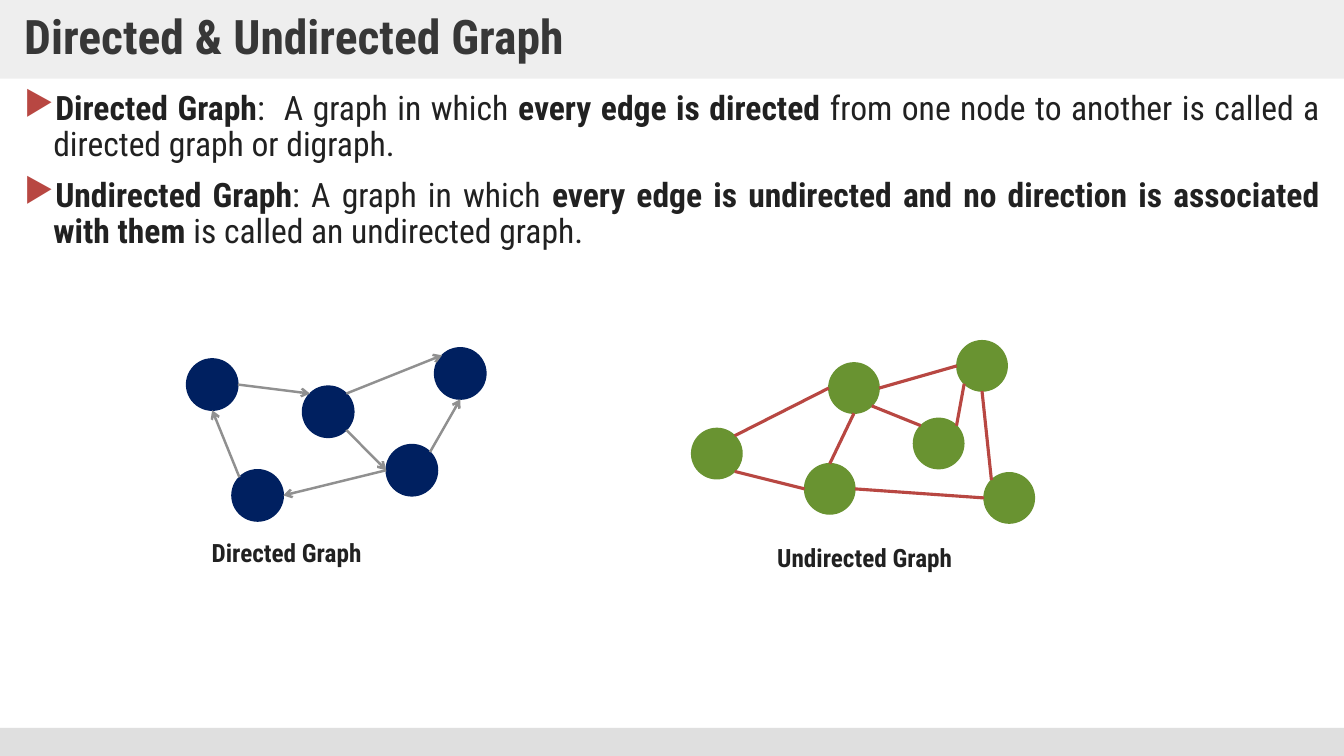
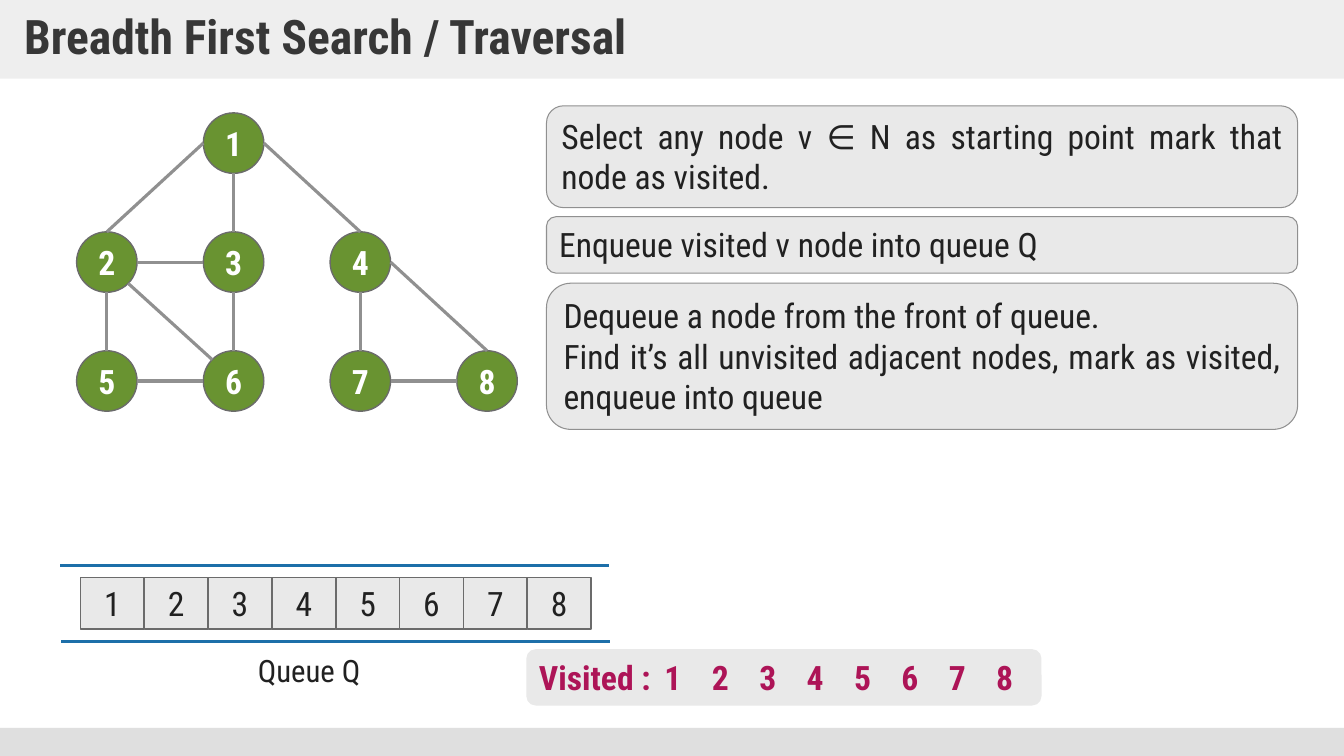
"""Build two slides on graphs and breadth first search."""
import math
from dataclasses import dataclass

from pptx import Presentation, util as u
from pptx.dml.color import RGBColor
from pptx.enum import shapes as kinds, text
from pptx.oxml.ns import qn
from lxml import etree


@dataclass(frozen=True)
class Theme:
    """Colours, font and type sizes of the deck."""
    font: str = "Roboto Condensed"
    title_ink: str = "373737"
    ink: str = "212121"
    white: str = "FFFFFF"
    band: str = "DFDFDF"
    panel: str = "E9E9E9"
    edge: str = "909090"
    border: str = "6B6B6B"
    navy: str = "002060"
    green: str = "699331"
    red: str = "B84742"
    blue: str = "1D6FA9"
    magenta: str = "AD1457"
    title_size: int = 34
    body_size: int = 24
    queue_size: int = 22
    caption_size: int = 18


THEME = Theme()
SHAPE = kinds.MSO_SHAPE
ALIGN = text.PP_ALIGN
ANCHOR = text.MSO_ANCHOR
TOP, TOP_LEFT, LEFT, BOTTOM_LEFT, BOTTOM, BOTTOM_RIGHT, RIGHT, TOP_RIGHT = range(8)

DEFINITIONS = [
    [("Directed Graph", True), (":  A graph in which ", False),
     ("every edge is directed", True),
     (" from one node to another is called a directed graph or digraph.", False)],
    [("Undirected Graph", True), (": A graph in which ", False),
     ("every edge is undirected and no direction is associated with them ", True),
     ("is called an undirected graph.", False)],
]
DIRECTED_NODES = {"a": (1.85, 3.56), "b": (3, 3.83), "c": (2.3, 4.66),
                  "d": (3.83, 4.41), "e": (4.31, 3.45)}
DIRECTED_EDGES = [
    ("a", RIGHT, "b", TOP_LEFT), ("b", BOTTOM_RIGHT, "d", LEFT),
    ("d", TOP_RIGHT, "e", BOTTOM), ("c", TOP_LEFT, "a", BOTTOM),
    ("b", TOP_RIGHT, "e", TOP_LEFT), ("d", LEFT, "c", RIGHT),
]
UNDIRECTED_NODES = {"a": (8.22, 3.6), "b": (9.06, 4.15), "c": (7.98, 4.6),
                    "d": (9.76, 4.69), "e": (9.49, 3.38), "f": (6.86, 4.25)}
UNDIRECTED_EDGES = [
    ("f", TOP_RIGHT, "a", LEFT), ("f", BOTTOM_RIGHT, "c", LEFT),
    ("b", TOP_RIGHT, "e", BOTTOM_LEFT), ("a", RIGHT, "e", LEFT),
    ("a", BOTTOM, "c", TOP), ("a", BOTTOM_RIGHT, "b", TOP_LEFT),
    ("c", RIGHT, "d", LEFT), ("e", BOTTOM, "d", TOP_LEFT),
]
SEARCH_CELLS = {"1": (1, 0), "2": (0, 1), "3": (1, 1), "4": (2, 1),
                "5": (0, 2), "6": (1, 2), "7": (2, 2), "8": (3, 2)}
SEARCH_EDGES = [
    ("1", BOTTOM, "3", TOP), ("2", TOP, "1", LEFT), ("1", RIGHT, "4", TOP),
    ("3", BOTTOM, "6", TOP), ("2", BOTTOM, "5", TOP),
    ("2", BOTTOM_RIGHT, "6", TOP_LEFT), ("2", RIGHT, "3", LEFT),
    ("5", RIGHT, "6", LEFT), ("7", RIGHT, "8", LEFT),
    ("4", BOTTOM, "7", TOP), ("4", RIGHT, "8", TOP),
]
STEPS = [
    (1.05, 1.01, ["Select any node v ∈ N as starting point mark that node as visited."]),
    (2.15, 0.56, ["Enqueue visited v node into queue Q"]),
    (2.81, 1.45, ["Dequeue a node from the front of queue.",
                  "Find it’s all unvisited adjacent nodes, mark as visited, "
                  "enqueue into queue"]),
]


def set_attributes(target, values):
    """Set each named attribute of the target."""
    for name, value in values.items():
        setattr(target, name, value)


def inches(*lengths):
    """Turn numbers into lengths."""
    return [u.Inches(length) for length in lengths]


def add_run(paragraph, words, size=THEME.body_size, color=THEME.ink, bold=False):
    """Add a run in the theme font."""
    run = paragraph.add_run()
    run.text = words
    set_attributes(run.font, {"name": THEME.font, "size": u.Pt(size), "bold": bold})
    run.font.color.rgb = RGBColor.from_string(color)


def write(shape, lines, align=ALIGN.LEFT, anchor=ANCHOR.TOP, **font):
    """Write one paragraph for each line."""
    frame = shape.text_frame
    set_attributes(frame, {"word_wrap": True, "vertical_anchor": anchor})
    for index, line in enumerate(lines):
        paragraph = frame.add_paragraph() if index else frame.paragraphs[0]
        paragraph.alignment = align
        add_run(paragraph, line, **font)


def add_block(shapes, kind, box, fill, line=None, width=1):
    """Add a flat preset shape."""
    shape = shapes.add_shape(kind, *inches(*box))
    shape.shadow.inherit = False
    shape.fill.solid()
    shape.fill.fore_color.rgb = RGBColor.from_string(fill)
    if line:
        shape.line.color.rgb = RGBColor.from_string(line)
        shape.line.width = u.Pt(width)
    else:
        shape.line.fill.background()
    return shape


def add_label(shapes, box, words, **font):
    """Add a text box with one line."""
    write(shapes.add_textbox(*inches(*box)), [words], **font)


def add_line(shapes, start, end, color, width, arrow=False):
    """Add a straight line, with an arrowhead at its end if asked."""
    line = shapes.add_connector(kinds.MSO_CONNECTOR.STRAIGHT, *start, *end)
    line.line.color.rgb = RGBColor.from_string(color)
    line.line.width = u.Pt(width)
    properties = line.element.spPr
    if arrow:
        etree.SubElement(properties.find(qn("a:ln")), qn("a:tailEnd"), type="arrow")
    etree.SubElement(properties, qn("a:effectLst"))
    return line


def site_point(node, site):
    """Return the point of one of the eight connection sites of a circle."""
    angle = math.radians(90 + 45 * site)
    radius = node.width / 2
    return (round(node.left + radius * (1 + math.cos(angle))),
            round(node.top + radius * (1 - math.sin(angle))))


def add_edge(shapes, start, start_site, end, end_site, **style):
    """Add a line that is glued to two nodes."""
    line = add_line(shapes, site_point(start, start_site),
                    site_point(end, end_site), **style)
    links = line.element.nvCxnSpPr.cNvCxnSpPr
    set_attributes(links.get_or_add_stCxn(), {"id": start.shape_id, "idx": start_site})
    set_attributes(links.get_or_add_endCxn(), {"id": end.shape_id, "idx": end_site})


def add_graph(shapes, places, edges, diameter, fill, border, labelled=False, **edge_style):
    """Add circles for the nodes and lines for the edges."""
    nodes = {}
    for name, place in places.items():
        nodes[name] = add_block(shapes, SHAPE.OVAL, (*place, diameter, diameter),
                                fill, border)
        if labelled:
            write(nodes[name], [name], ALIGN.CENTER, ANCHOR.MIDDLE,
                  color=THEME.white, bold=True)
    for start, start_site, end, end_site in edges:
        add_edge(shapes, nodes[start], start_site, nodes[end], end_site, **edge_style)


def add_bullets(shapes, box, items):
    """Add justified paragraphs with coloured triangle bullets."""
    frame = shapes.add_textbox(*inches(*box)).text_frame
    frame.word_wrap = True
    for index, runs in enumerate(items):
        paragraph = frame.add_paragraph() if index else frame.paragraphs[0]
        set_attributes(paragraph, {"alignment": ALIGN.JUSTIFY, "line_spacing": 0.9,
                                   "space_before": u.Pt(10)})
        properties = paragraph._p.get_or_add_pPr()
        properties.set("marL", str(u.Inches(0.29)))
        properties.set("indent", str(-u.Inches(0.29)))
        color = etree.SubElement(properties, qn("a:buClr"))
        etree.SubElement(color, qn("a:srgbClr"), val=THEME.red)
        etree.SubElement(properties, qn("a:buChar"), char="▶")
        for words, bold in runs:
            add_run(paragraph, words, bold=bold)


def add_slide(presentation, title):
    """Add a slide with the title band and the bottom band."""
    slide = presentation.slides.add_slide(presentation.slide_layouts[5])
    add_block(slide.shapes, SHAPE.RECTANGLE, (0, 7.22, 13.33, 0.28), THEME.band)
    shape = slide.shapes.title
    set_attributes(shape, dict(zip(("left", "top", "width", "height"),
                                   inches(0, 0, 13.33, 0.78))))
    shape.fill.solid()
    shape.fill.fore_color.rgb = RGBColor.from_string(THEME.band)
    color = shape.element.spPr.find(".//" + qn("a:srgbClr"))
    etree.SubElement(color, qn("a:alpha"), val="50000")
    set_attributes(shape.text_frame, {
        "auto_size": text.MSO_AUTO_SIZE.NONE,
        "margin_left": u.Inches(0.24), "margin_right": u.Inches(0.24),
        "margin_top": u.Inches(0.12), "margin_bottom": u.Inches(0.12)})
    write(shape, [title], anchor=ANCHOR.MIDDLE, size=THEME.title_size,
          color=THEME.title_ink, bold=True)
    shape.text_frame.paragraphs[0].line_spacing = 0.9
    return slide


def add_queue(shapes):
    """Add the queue cells between two rails, with the queue name."""
    for index, name in enumerate(SEARCH_CELLS):
        cell = add_block(shapes, SHAPE.RECTANGLE, (0.8 + 0.633 * index, 5.73, 0.63, 0.51),
                         THEME.panel, THEME.border)
        write(cell, [name], ALIGN.CENTER, ANCHOR.MIDDLE)
    for left, top in ((0.6, 5.61), (0.61, 6.36)):
        add_line(shapes, inches(left, top), inches(left + 5.44, top), THEME.blue, 2.25)
    add_label(shapes, (2.46, 6.42, 1.34, 0.47), "Queue Q", size=THEME.queue_size)


def add_visited(shapes):
    """Add the panel that lists the visited nodes."""
    style = {"color": THEME.magenta, "bold": True}
    panel = add_block(shapes, SHAPE.ROUNDED_RECTANGLE, (5.22, 6.44, 5.11, 0.56), THEME.panel)
    write(panel, ["Visited :"], **style)
    for index, name in enumerate(SEARCH_CELLS):
        cell = add_block(shapes, SHAPE.RECTANGLE, (6.44 + 0.47 * index, 6.47, 0.47, 0.5),
                         THEME.panel)
        write(cell, [name], ALIGN.CENTER, **style)


def add_kinds_slide(presentation):
    """Add the slide on directed and undirected graphs."""
    shapes = add_slide(presentation, "Directed & Undirected Graph").shapes
    add_bullets(shapes, (0.14, 0.86, 13.05, 6.11), DEFINITIONS)
    caption = {"size": THEME.caption_size, "bold": True}
    directed = shapes.add_group_shape().shapes
    add_graph(directed, DIRECTED_NODES, DIRECTED_EDGES, 0.51, THEME.navy, THEME.navy,
              color=THEME.edge, width=1.75, arrow=True)
    add_label(directed, (2, 5.28, 2.58, 0.58), "Directed Graph", **caption)
    undirected = shapes.add_group_shape().shapes
    add_graph(undirected, UNDIRECTED_NODES, UNDIRECTED_EDGES, 0.5, THEME.green, THEME.green,
              color=THEME.red, width=2.25)
    add_label(undirected, (7.61, 5.33, 3.18, 0.53), "Undirected Graph", **caption)


def add_search_slide(presentation):
    """Add the slide on breadth first search."""
    shapes = add_slide(presentation, "Breadth First Search / Traversal").shapes
    places = {name: (0.76 + 1.257 * column, 1.12 + 1.18 * row)
              for name, (column, row) in SEARCH_CELLS.items()}
    add_graph(shapes, places, SEARCH_EDGES, 0.6, THEME.green, THEME.border,
              labelled=True, color=THEME.edge, width=2.25)
    for top, height, lines in STEPS:
        step = add_block(shapes, SHAPE.ROUNDED_RECTANGLE, (5.42, top, 7.45, height),
                         THEME.panel, THEME.edge, 0.75)
        write(step, lines, ALIGN.JUSTIFY)
    add_queue(shapes)
    add_visited(shapes)


def main():
    """Build and save the deck."""
    presentation = Presentation()
    set_attributes(presentation, {"slide_width": u.Inches(13.33),
                                  "slide_height": u.Inches(7.5)})
    add_kinds_slide(presentation)
    add_search_slide(presentation)
    presentation.save("out.pptx")


if __name__ == "__main__":
    main()
